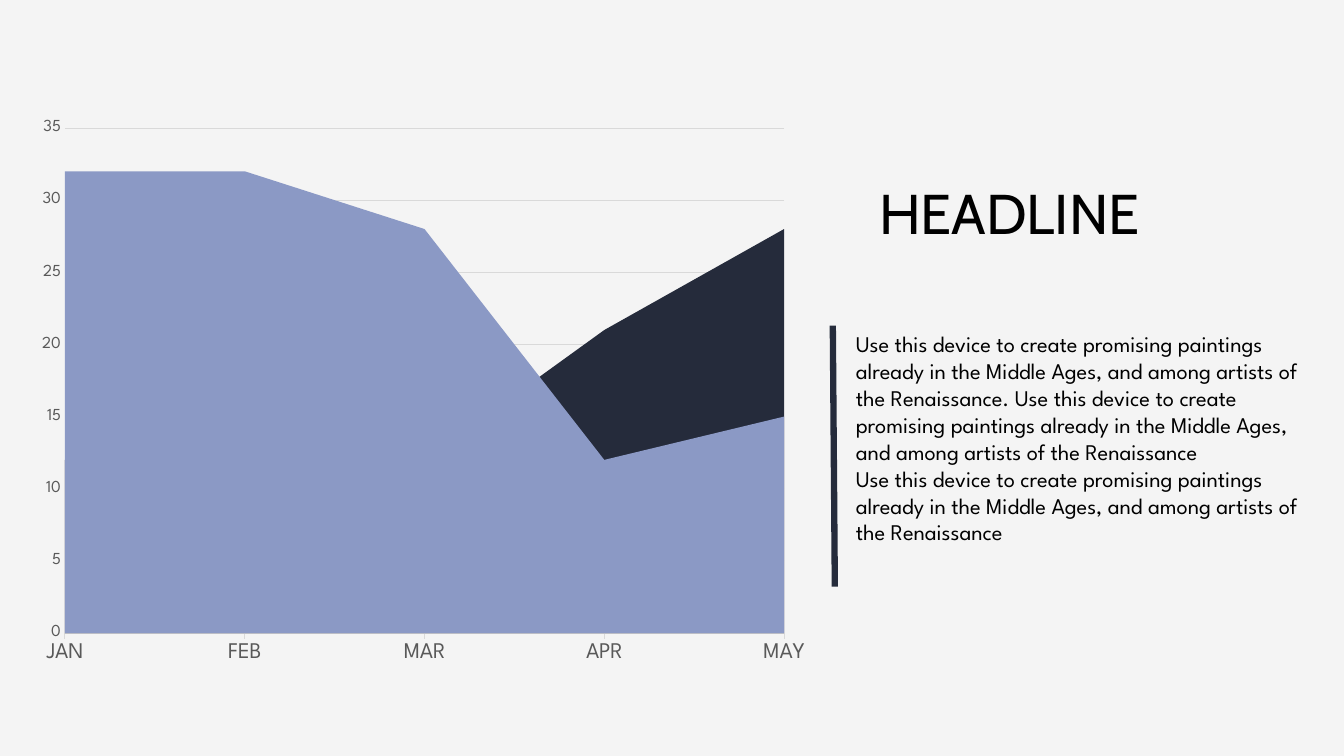
"""Builds a slide with an area chart beside a headline and a text block."""
from lxml import etree
from pptx import Presentation
from pptx.chart.data import CategoryChartData
from pptx.dml.color import RGBColor
from pptx.enum import chart as ch, shapes, text
from pptx.oxml.ns import qn
from pptx.util import Inches, Pt

PAPER = RGBColor(0xF4, 0xF4, 0xF4)
BLUE = RGBColor(0x8B, 0x99, 0xC5)
NAVY = RGBColor(0x25, 0x2B, 0x3B)
BLACK = RGBColor(0, 0, 0)
LABEL = RGBColor(0x59, 0x59, 0x59)
GRID = RGBColor(0xD9, 0xD9, 0xD9)
BODY_FONT = "League Spartan"

SENTENCE = ("Use this device to create promising paintings already in the "
            "Middle Ages, and among artists of the Renaissance")

prs = Presentation()
prs.slide_width, prs.slide_height = Inches(13.33), Inches(7.5)
s = prs.slides.add_slide(prs.slide_layouts[6])
s.background.fill.solid()
s.background.fill.fore_color.rgb = PAPER

data = CategoryChartData()
data.categories = ["JAN", "FEB", "MAR", "APR", "MAY"]
data.add_series("Series 1", (32, 32, 28, 12, 15))
data.add_series("Series 2", (12, 12, 12, 21, 28))
chart = s.shapes.add_chart(ch.XL_CHART_TYPE.AREA, Inches(0.26), Inches(1.08),
                           Inches(7.88), Inches(5.62), data).chart
chart.has_legend = False
chart.has_title = False
chart.font.name, chart.font.size = "Calibri", Pt(10)
chart.font.color.rgb = BLACK
chart.plots[0].vary_by_categories = False
for series, color in zip(chart.plots[0].series, (BLUE, NAVY)):
    series.format.fill.solid()
    series.format.fill.fore_color.rgb = color
    series.format.line.fill.background()

months, values = chart.category_axis, chart.value_axis
for axis, size, tick in ((months, 16, ch.XL_TICK_MARK.OUTSIDE),
                         (values, 12, ch.XL_TICK_MARK.NONE)):
    font = axis.tick_labels.font
    font.name, font.size = BODY_FONT, Pt(size)
    font.color.rgb = LABEL
    axis.major_tick_mark = tick
    axis.minor_tick_mark = ch.XL_TICK_MARK.NONE
months.has_major_gridlines = False
values.has_major_gridlines = True
for line in (months.format.line, values.major_gridlines.format.line):
    line.color.rgb = GRID
    line.width = Pt(0.75)
values.format.line.fill.background()
values.minimum_scale, values.maximum_scale, values.major_unit = 0, 35, 5

rule = s.shapes.add_connector(shapes.MSO_CONNECTOR.STRAIGHT, Inches(8.26),
                              Inches(3.23), Inches(8.28), Inches(5.82))
rule.line.color.rgb = NAVY
rule.line.width = Pt(4.5)
etree.SubElement(rule._element.spPr, qn("a:effectLst"))

for box, paragraphs, name, size in (
        ((8.62, 1.72, 3.74, 0.77), ["HEADLINE"], "Cabin", 40),
        ((8.39, 3.23, 4.68, 2.79), [f"{SENTENCE}. {SENTENCE}", SENTENCE], BODY_FONT, 16)):
    tf = s.shapes.add_textbox(*map(Inches, box)).text_frame
    tf.word_wrap = True
    tf.auto_size = text.MSO_AUTO_SIZE.SHAPE_TO_FIT_TEXT
    tf.text = "\n".join(paragraphs)
    for p in tf.paragraphs:
        p.font.name, p.font.size = name, Pt(size)
        p.font.color.rgb = BLACK

prs.save("out.pptx")
